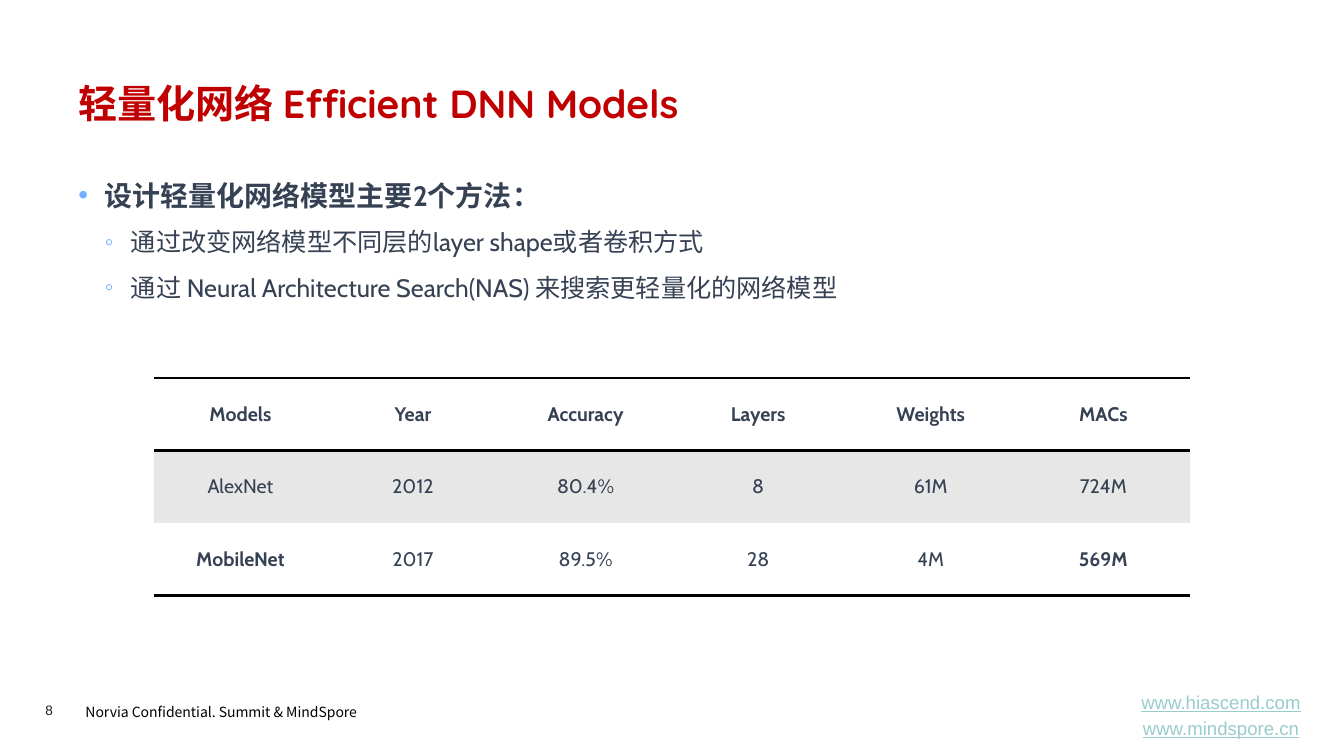
import pptx
import pptx.util
import pptx.dml.color
import pptx.enum.text
import lxml.etree

Pt = pptx.util.Pt
Inches = pptx.util.Inches
ALIGN = pptx.enum.text.PP_ALIGN
ANCHOR = pptx.enum.text.MSO_ANCHOR
NS = "http://schemas.openxmlformats.org/drawingml/2006/main"


def color(code):
    return pptx.dml.color.RGBColor.from_string(code)


def node(tag, parent=None, **attrs):
    name = "{%s}%s" % (NS, tag)
    if parent is None:
        return pptx.oxml.parse_xml('<a:%s xmlns:a="%s"/>' % (tag, NS))
    return lxml.etree.SubElement(parent, name, attrs)


class Deck:
    ink, red, blue, black = "374154", "C00000", "71B2FF", "000000"
    white, gray, teal, dark = "FFFFFF", "E7E7E7", "99CCCC", "1D1D1B"
    head, body, plain, foot = "Quicksand", "Cabin", "Arial", "Noto Sans CJK SC"

    def __init__(self, wide, high):
        self.file = pptx.Presentation()
        self.file.slide_width = Inches(wide)
        self.file.slide_height = Inches(high)
        self.slide = self.file.slides.add_slide(self.file.slide_layouts[6])

    def place(self, x, y, w, h):
        wide, high = self.file.slide_width, self.file.slide_height
        return [int(part * full / 100) for part, full in
                ((x, wide), (y, high), (w, wide), (h, high))]

    def style(self, para, size, face, tint, bold=False, line=False):
        font = para.font
        font.size, font.name = Pt(size), face
        font.bold, font.underline = bold, line
        font.color.rgb = color(tint)

    def text(self, area, lines, size, face, tint, bold=False, line=False,
             align=ALIGN.LEFT, anchor=ANCHOR.TOP, pitch=1.0, gap=0, inset=True):
        frame = self.slide.shapes.add_textbox(*self.place(*area)).text_frame
        frame.word_wrap = True
        frame.vertical_anchor = anchor
        if not inset:
            frame.margin_left = frame.margin_right = 0
            frame.margin_top = frame.margin_bottom = 0
        for i, words in enumerate(lines):
            para = frame.add_paragraph() if i else frame.paragraphs[0]
            para.text = words
            para.alignment, para.line_spacing = align, pitch
            if i:
                para.space_before = Pt(gap)
            self.style(para, size, face, tint, bold, line)

    def list(self, area, items):
        frame = self.slide.shapes.add_textbox(*self.place(*area)).text_frame
        frame.word_wrap = True
        for i, (level, words) in enumerate(items):
            para = frame.add_paragraph() if i else frame.paragraphs[0]
            para.text = words
            para.level, para.line_spacing = level, 1.5
            props = para._p.get_or_add_pPr()
            step = Inches(0.26)
            props.set("marL", str(step * (level + 1)))
            props.set("indent", str(-step))
            node("srgbClr", node("buClr", props), val=self.blue)
            node("buFont", props, typeface=self.plain)
            node("buChar", props, char="•◦"[level])
            self.style(para, 20 - 2 * level, self.body, self.ink, level == 0)

    def edge(self, cell, top, base):
        props = cell._tc.get_or_add_tcPr()
        sides = (("lnL", False), ("lnR", False), ("lnT", top), ("lnB", base))
        for i, (tag, drawn) in enumerate(sides):
            rule = node(tag)
            if drawn:
                rule.set("w", str(Pt(2)))
                node("srgbClr", node("solidFill", rule), val=self.black)
            else:
                rule.set("w", "0")
                node("noFill", rule)
            props.insert(i, rule)

    def table(self, area, rows, strong):
        x, y, w, h = self.place(*area)
        count, width = len(rows), len(rows[0])
        grid = self.slide.shapes.add_table(count, width, x, y, w, h).table
        for r, row in enumerate(rows):
            for c, words in enumerate(row):
                cell = grid.cell(r, c)
                cell.text = words
                cell.vertical_anchor = ANCHOR.MIDDLE
                cell.fill.solid()
                cell.fill.fore_color.rgb = color(self.gray if r % 2 else self.white)
                self.edge(cell, r < 2, r in (0, count - 1))
                para = cell.text_frame.paragraphs[0]
                para.alignment = ALIGN.CENTER
                self.style(para, 14, self.body, self.ink, r == 0 or words in strong)


def main():
    deck = Deck(13.34, 7.5)
    deck.text((5.62, 92, 23.46, 3.87), ["Norvia Confidential. Summit & MindSpore"],
              10, deck.foot, deck.black, pitch=1.2)
    deck.text((3.37, 92.8, 4.12, 2.13), ["8"], 9.7, deck.plain, deck.dark, inset=False)
    deck.text((82.76, 91.73, 16.19, 5.73), ["www.hiascend.com", "www.mindspore.cn"],
              13.3, deck.plain, deck.teal, line=True, align=ALIGN.CENTER,
              anchor=ANCHOR.MIDDLE, gap=2.7)
    deck.text((5.1, 9.87, 89.88, 8.53), ["轻量化网络 Efficient DNN Models"],
              28, deck.head, deck.red, bold=True)
    deck.list((5.1, 20.67, 89.88, 20.93), [
        (0, "设计轻量化网络模型主要2个方法："),
        (1, "通过改变网络模型不同层的layer shape或者卷积方式"),
        (1, "通过 Neural Architecture Search(NAS) 来搜索更轻量化的网络模型"),
    ])
    deck.table((11.47, 50, 77.06, 28.8), [
        ("Models", "Year", "Accuracy", "Layers", "Weights", "MACs"),
        ("AlexNet", "2012", "80.4%", "8", "61M", "724M"),
        ("MobileNet", "2017", "89.5%", "28", "4M", "569M"),
    ], ("MobileNet", "569M"))
    deck.file.save("out.pptx")


if __name__ == "__main__":
    main()
